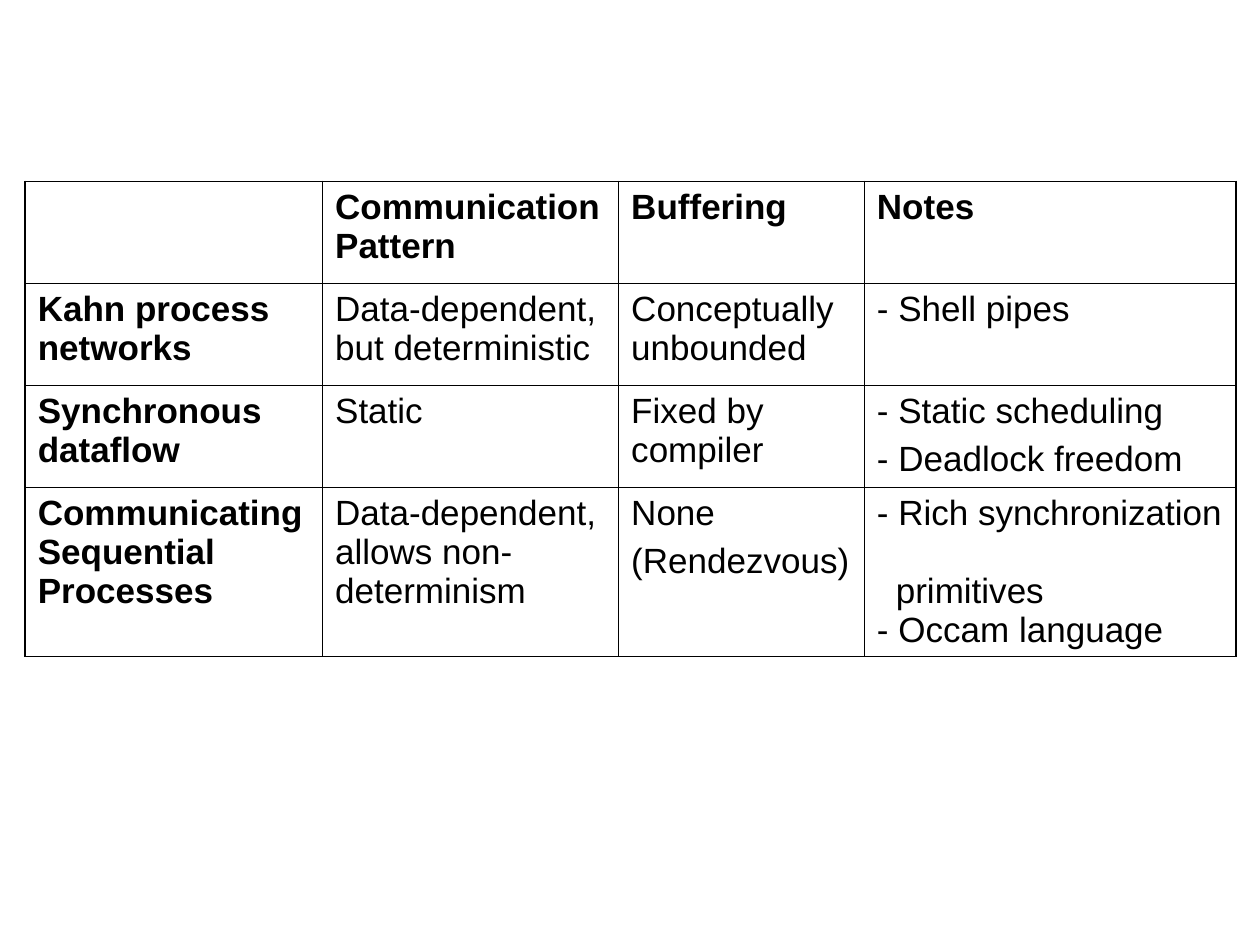
"""Build a slide that compares three models of concurrent communication."""
from dataclasses import dataclass

from lxml import etree
from pptx import Presentation
from pptx import util as u
from pptx.dml.color import RGBColor
from pptx.oxml.ns import qn


@dataclass(frozen=True)
class Theme:
    """Colours, type and line weights of the slide."""
    font: str = "Arial"
    ink: str = "000000"
    text_size: float = 20
    space_before: float = 5
    outer_line: float = 1.08
    inner_line: float = 0.45


@dataclass(frozen=True)
class Line:
    """One paragraph with its own spacing and indent."""
    text: str
    before: float = Theme.space_before
    indent: float = 0


THEME = Theme()
COLUMN_WIDTHS = [2.36, 2.35, 1.95, 2.95]
ROW_HEIGHTS = [0.81, 0.81, 0.81, 1.34]
COMPARISON = [
    [[], [Line("Communication\vPattern")], [Line("Buffering")], [Line("Notes")]],
    [[Line("Kahn process networks")],
     [Line("Data-dependent,\vbut deterministic")],
     [Line("Conceptually unbounded")],
     [Line("- Shell pipes")]],
    [[Line("Synchronous dataflow")],
     [Line("Static")],
     [Line("Fixed by compiler")],
     [Line("- Static scheduling"), Line("- Deadlock freedom")]],
    [[Line("Communicating Sequential Processes")],
     [Line("Data-dependent, allows non-determinism")],
     [Line("None"), Line("(Rendezvous)")],
     [Line("- Rich synchronization"),
      Line("primitives", before=22.3, indent=0.15),
      Line("- Occam language", before=0)]],
]


def draw_borders(cell, row, column):
    """Rule a cell, with a heavier line on the outside of the table."""
    on_edge = {
        "a:lnL": column == 0,
        "a:lnR": column == len(COLUMN_WIDTHS) - 1,
        "a:lnT": row == 0,
        "a:lnB": row == len(ROW_HEIGHTS) - 1,
    }
    properties = cell._tc.get_or_add_tcPr()
    for side, is_outer in on_edge.items():
        weight = THEME.outer_line if is_outer else THEME.inner_line
        border = etree.SubElement(properties, qn(side), w=str(u.Pt(weight)))
        fill = etree.SubElement(border, qn("a:solidFill"))
        etree.SubElement(fill, qn("a:srgbClr"), val=THEME.ink)


def write_lines(cell, lines, bold):
    """Write and format the paragraphs of a cell."""
    frame = cell.text_frame
    frame.text = "\n".join(line.text for line in lines)
    for index, (paragraph, line) in enumerate(zip(frame.paragraphs, lines)):
        if index:
            paragraph.space_before = u.Pt(line.before)
        if line.indent:
            paragraph._p.get_or_add_pPr().set("marL", str(u.Inches(line.indent)))
        for run in paragraph.runs:
            run.font.name = THEME.font
            run.font.size = u.Pt(THEME.text_size)
            run.font.bold = bold
            run.font.color.rgb = RGBColor.from_string(THEME.ink)


def add_comparison(slide):
    """Add the comparison table with bold row and column headings."""
    table = slide.shapes.add_table(
        len(ROW_HEIGHTS), len(COLUMN_WIDTHS), u.Inches(0.2), u.Inches(1.44),
        u.Inches(sum(COLUMN_WIDTHS)), u.Inches(sum(ROW_HEIGHTS))).table
    table.first_row = table.horz_banding = False
    for column, width in zip(table.columns, COLUMN_WIDTHS):
        column.width = u.Inches(width)
    for row, height in zip(table.rows, ROW_HEIGHTS):
        row.height = u.Inches(height)
    for r, models in enumerate(COMPARISON):
        for c, lines in enumerate(models):
            cell = table.cell(r, c)
            write_lines(cell, lines, bold=r == 0 or c == 0)
            draw_borders(cell, r, c)
            cell.fill.background()


def main():
    """Create and save the presentation."""
    presentation = Presentation()
    presentation.slide_width = u.Inches(10)
    presentation.slide_height = u.Inches(7.5)
    slide = presentation.slides.add_slide(presentation.slide_layouts[6])
    add_comparison(slide)
    presentation.save("out.pptx")


if __name__ == "__main__":
    main()
